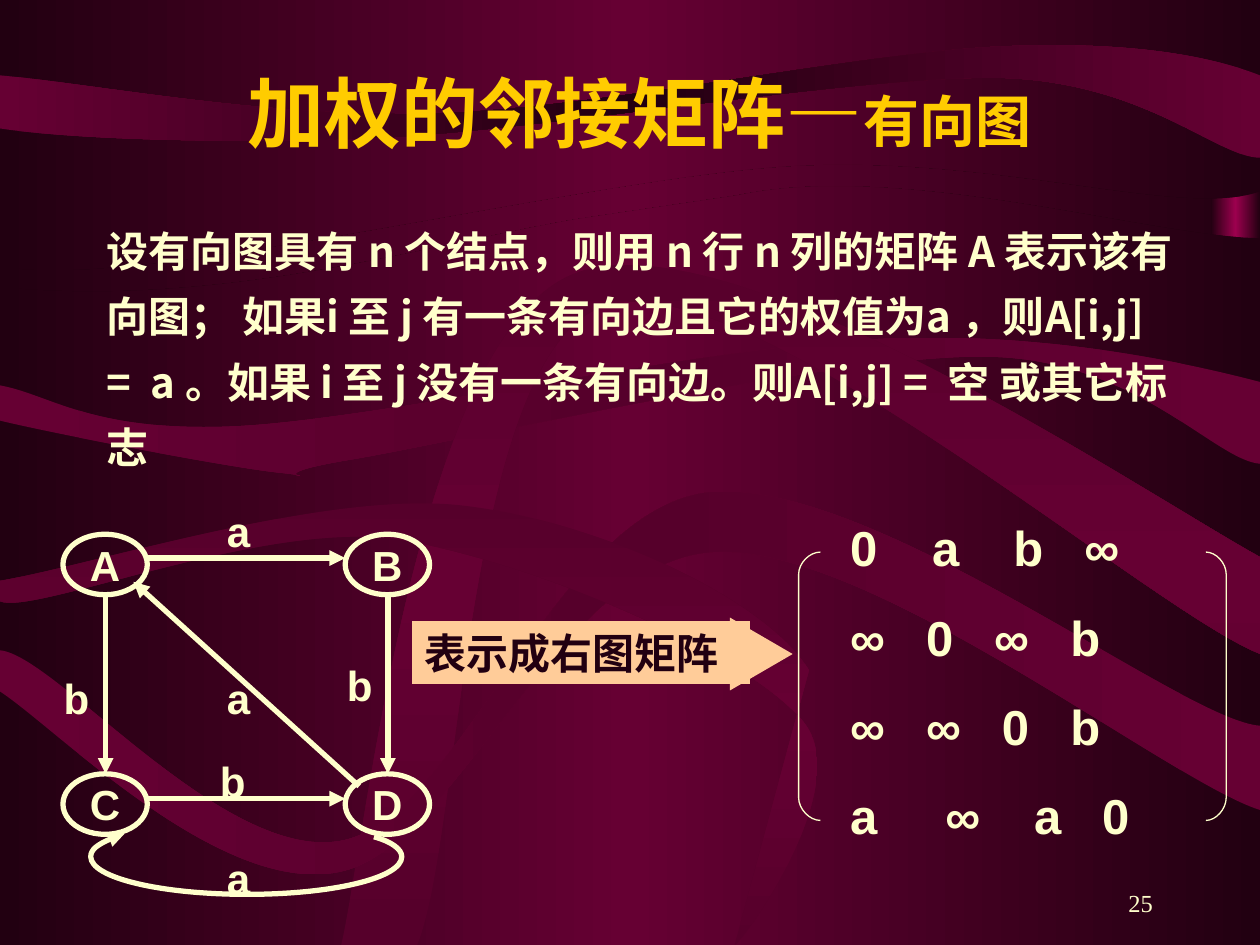
from copy import deepcopy
from dataclasses import dataclass

from lxml.etree import Element, SubElement
from pptx import Presentation
from pptx.dml.color import RGBColor
from pptx.enum.shapes import MSO_CONNECTOR, MSO_SHAPE
from pptx.enum.text import MSO_ANCHOR, MSO_AUTO_SIZE, PP_ALIGN
from pptx.oxml.ns import qn
from pptx.util import Cm, Pt

COLORS = {"night": "220011", "wine": "660033", "plum": "56002B", "rose": "9C004E",
          "cream": "FFFFCC", "gold": "FFCC00", "peach": "FFCC99"}
EAST_ASIAN = "Noto Sans CJK SC"
ARIAL = {"name": "Arial", "size": Pt(24), "bold": True}
MATRIX_FONT = {**ARIAL, "size": Pt(28)}
BODY_FONT = {**ARIAL, "name": EAST_ASIAN}
TITLE_FONT = {"name": "Times New Roman", "size": Pt(44), "bold": True}
SUBTITLE_FONT = {**TITLE_FONT, "size": Pt(32)}
NUMBER_FONT = {"name": "Times New Roman", "size": Pt(14), "bold": False}


@dataclass
class Ribbon:
    """A closed outline in cm: a pair is a line, six numbers are a Bézier curve."""
    start: tuple
    segments: list
    edge: str = "night"
    middle: str = "wine"
    angle: int = 0


@dataclass
class Label:
    text: str
    left: float
    top: float
    width: float


@dataclass
class MatrixRow:
    entries: str
    tabs: tuple


RIBBONS = [
    Ribbon((0, 0), [(25.4, 0), (25.4, 3.86), (23.83, 4.42, 20.12, 3.1, 15.88, 3.35),
                    (11.63, 3.61, 2.64, 5.92, 0, 5.36)]),
    Ribbon((0, 5.79), [(4.52, 6.22, 8.64, 4.93, 11.63, 4.42),
                       (11.63, 4.42, 14.4, 4.01, 14.88, 3.94),
                       (18.16, 3.23, 23.29, 4.8, 25.4, 4.8), (25.4, 19.05), (0, 19.05)]),
    Ribbon((0, 1.52), [(0, 2.59), (1.3, 2.79, 4.47, 2.92, 7.82, 2.77),
                       (11.18, 2.59, 17.25, 1.52, 20.17, 1.57),
                       (23.09, 1.65, 24.54, 3.18, 25.4, 3.18), (25.4, 1.52),
                       (24.51, 1.17, 22.89, 0.81, 20.12, 0.94),
                       (17.32, 1.07, 12.12, 2.18, 8.76, 2.29),
                       (5.41, 2.39, 1.83, 1.68, 0, 1.52)], "wine", "night"),
    Ribbon((0, 7.77), [(0, 8.48), (0.94, 8.71, 4.45, 9.4, 5.64, 9.53),
                       (6.83, 9.65, 4.83, 9.63, 7.16, 9.25),
                       (9.53, 8.84, 16.76, 7.16, 19.81, 7.19),
                       (22.86, 7.19, 24.46, 9.27, 25.4, 9.35), (25.4, 7.7),
                       (24.13, 7.37, 21.23, 6.68, 17.81, 6.83),
                       (14.38, 6.96, 7.8, 8.43, 4.83, 8.59),
                       (1.85, 8.74, 1.02, 7.95, 0, 7.77)], "wine", "plum"),
    Ribbon((6.88, 19.05), [(7.39, 16.79, 8.43, 6.83, 11.53, 5.54),
                           (14.61, 4.22, 23.09, 9.96, 25.4, 11.23), (25.4, 13.18),
                           (23.19, 12.32, 15.01, 5.21, 12.17, 6.17),
                           (9.35, 7.16, 9.3, 16.92, 8.41, 19.05)], "plum", "wine", 90),
    Ribbon((0, 13.11), [(0, 13.94), (1.14, 14.68, 4.42, 18.06, 6.83, 17.58),
                        (9.22, 17.12, 11.25, 11.33, 14.35, 11.13),
                        (17.45, 10.9, 23.55, 15.75, 25.4, 16.33), (25.4, 14.63),
                        (23.83, 14.53, 17.55, 9.58, 14.27, 9.93),
                        (11.2, 10.31, 9.32, 16.41, 6.93, 16.94),
                        (4.55, 17.45, 1.14, 13.21, 0, 13.11)], "wine", "plum"),
    Ribbon((0, 11.71), [(0, 12.12), (0.66, 12.42, 5.28, 10.49, 7.98, 10.87),
                        (10.67, 11.28, 15.04, 13.16, 16.18, 14.53),
                        (17.32, 15.88, 14.78, 19.23, 14.81, 19.05), (16.31, 13.51),
                        (15.39, 12.04, 12.01, 10.49, 9.3, 10.19),
                        (6.58, 9.88, 1.93, 11.38, 0, 11.71)], "plum", "wine", 90),
]
VERTICES = [Label("A", 1.27, 10.77, 1.7), Label("B", 6.96, 10.77, 1.7),
            Label("C", 1.27, 15.6, 1.7), Label("D", 6.96, 15.6, 1.7)]
EDGES = [(2.97, 11.25, 6.96, 11.25), (2.97, 16.1, 6.96, 16.1), (7.82, 11.99, 7.82, 15.6),
         (7.24, 15.85, 2.69, 11.73), (2.13, 11.99, 2.13, 15.6)]
WEIGHTS = [Label("a", 3.25, 10.06, 3.12), Label("a", 3.25, 17.07, 3.12),
           Label("a", 3.25, 13.44, 3.12), Label("b", 0.69, 13.44, 1.7),
           Label("b", 6.4, 13.18, 1.7), Label("b", 3.84, 15.11, 1.7)]
MATRIX = [MatrixRow("0\ta\tb\t∞", (1.65, 3.29, 4.72)), MatrixRow("∞\t0\t∞\tb", (1.53, 2.9, 4.44)),
          MatrixRow("∞\t∞\t0\tb", (1.53, 3.06, 4.44)), MatrixRow("a\t∞\ta\t0", (1.92, 3.71, 5.08))]


def rgb(color: str) -> RGBColor:
    return RGBColor.from_string(COLORS[color])


def place(shape, left: float, top: float, width: float, height: float) -> None:
    shape.left, shape.top, shape.width, shape.height = map(Cm, (left, top, width, height))


def write(paragraph, text: str, font_format: dict, color: str = "cream") -> None:
    run = paragraph.add_run()
    run.text = text
    for attribute, value in font_format.items():
        setattr(run.font, attribute, value)
    run.font.color.rgb = rgb(color)
    SubElement(run.font._element, qn("a:ea"), typeface=EAST_ASIAN)


def fill_axial(fill, owner, edge: str, middle: str, angle: int = 0) -> None:
    """Gradient running from the edge colour to the middle colour and back."""
    fill.gradient()
    fill.gradient_angle = angle
    for stop, color, position in zip(fill.gradient_stops, (edge, middle), (0, 0.5)):
        stop.color.rgb, stop.position = rgb(color), position
    stops = owner.find(".//" + qn("a:gsLst"))
    stops.append(deepcopy(stops[0]))
    stops[-1].set("pos", "100000")


def add_outline(slide, start: tuple, segments: list, closed: bool = False):
    """Freeform whose six-number segments become true Bézier curves."""
    points = [(Cm(x), Cm(y)) for segment in segments
              for x, y in zip(segment[::2], segment[1::2])]
    builder = slide.shapes.build_freeform(*map(Cm, start))
    builder.add_line_segments(points, close=closed)
    outline = builder.convert_to_shape()
    outline.shadow.inherit = False
    steps = iter(outline._element.findall(".//" + qn("a:lnTo")))
    for segment in segments:
        controls = [next(steps) for _ in segment[::2]]
        if len(controls) == 3:
            curve = Element(qn("a:cubicBezTo"))
            controls[0].addprevious(curve)
            for control in controls:
                curve.append(control[0])
                control.getparent().remove(control)
    return outline


def add_ribbon(slide, ribbon: Ribbon) -> None:
    band = add_outline(slide, ribbon.start, ribbon.segments, True)
    fill_axial(band.fill, band._element, ribbon.edge, ribbon.middle, ribbon.angle)
    band.line.fill.background()


def stroke(shape, width: float, arrow: bool = False) -> None:
    shape.line.color.rgb, shape.line.width = rgb("cream"), Pt(width)
    if arrow:
        SubElement(shape._element.spPr.find(qn("a:ln")), qn("a:tailEnd"), type="triangle")


def add_preset(slide, preset, *box: float, color: str = ""):
    shape = slide.shapes.add_shape(preset, *map(Cm, box))
    shape.shadow.inherit = False
    if color:
        shape.fill.solid()
        shape.fill.fore_color.rgb = rgb(color)
        shape.line.fill.background()
    else:
        shape.fill.background()
    return shape


def add_text(slide, *box: float):
    frame = slide.shapes.add_textbox(*map(Cm, box)).text_frame
    frame.word_wrap = True
    return frame


def add_vertex(slide, vertex: Label) -> None:
    oval = add_preset(slide, MSO_SHAPE.OVAL, vertex.left, vertex.top, vertex.width, 1.22)
    stroke(oval, 3)
    oval.text_frame.word_wrap = False
    oval.text_frame.vertical_anchor = MSO_ANCHOR.MIDDLE
    oval.text_frame.paragraphs[0].alignment = PP_ALIGN.CENTER
    write(oval.text_frame.paragraphs[0], vertex.text, ARIAL)


def add_edge(slide, ends: tuple) -> None:
    edge = slide.shapes.add_connector(MSO_CONNECTOR.STRAIGHT, *map(Cm, ends))
    stroke(edge, 3, arrow=True)
    SubElement(edge._element.spPr, qn("a:effectLst"))


def add_bracket(slide, tip: float, spine: float) -> None:
    middle = (tip + spine) / 2
    bracket = add_outline(slide, (tip, 11.13), [
        (middle, 11.13, spine, 11.35, spine, 11.58), (spine, 16.08),
        (spine, 16.31, middle, 16.54, tip, 16.54)])
    bracket.fill.background()
    stroke(bracket, 0.75)


def add_matrix(slide) -> None:
    frame = add_text(slide, 16.89, 10.31, 7.21, 6.86)
    for index, row in enumerate(MATRIX):
        paragraph = frame.add_paragraph() if index else frame.paragraphs[0]
        tabs = SubElement(paragraph._p.get_or_add_pPr(), qn("a:tabLst"))
        for position in row.tabs:
            SubElement(tabs, qn("a:tab"), pos=str(Cm(position)), algn="l")
        if index:
            paragraph.space_before = Pt(17.5)
        write(paragraph, row.entries, MATRIX_FONT)


def fill_placeholders(slide) -> None:
    title, body = slide.shapes.title, slide.placeholders[1]
    place(title, 3.3, 1.32, 19.18, 1.88)
    place(body, 1.9, 4.11, 22.17, 5.54)
    for holder in (title, body):
        holder.text_frame.auto_size = MSO_AUTO_SIZE.NONE
        slide.shapes._spTree.append(holder._element)
    title.text_frame.vertical_anchor = MSO_ANCHOR.MIDDLE
    heading, rule = title.text_frame.paragraphs[0], body.text_frame.paragraphs[0]
    heading.alignment = PP_ALIGN.CENTER
    write(heading, "加权的邻接矩阵—", TITLE_FONT, "gold")
    write(heading, "有向图", SUBTITLE_FONT, "gold")
    properties = rule._p.get_or_add_pPr()
    properties.set("marL", "0")
    properties.set("indent", "0")
    SubElement(properties, qn("a:buNone"))
    rule.line_spacing, rule.space_before = 1.3, Pt(0)
    write(rule, "设有向图具有 n 个结点，则用 n 行 n 列的矩阵 A 表示该有向图； 如果i 至 j "
                "有一条有向边且它的权值为a ，则A[i,j]  =  a 。如果 i 至 j 没有一条有向边。"
                "则A[i,j] =  空 或其它标志", BODY_FONT)


def main() -> None:
    deck = Presentation()
    deck.slide_width, deck.slide_height = Cm(25.4), Cm(19.05)
    slide = deck.slides.add_slide(deck.slide_layouts[1])
    fill_axial(slide.background.fill, slide._element, "night", "wine")
    glow = add_preset(slide, MSO_SHAPE.RECTANGLE, 24.41, 1.24, 0.99, 8.76, color="rose")
    fill_axial(glow.fill, glow._element, "night", "rose")
    for ribbon in RIBBONS:
        add_ribbon(slide, ribbon)

    page = add_text(slide, 18.21, 17.35, 5.28, 1.27)
    page.vertical_anchor = MSO_ANCHOR.BOTTOM
    page.paragraphs[0].alignment = PP_ALIGN.RIGHT
    write(page.paragraphs[0], "25", NUMBER_FONT)
    fill_placeholders(slide)

    arrow = add_preset(slide, MSO_SHAPE.RIGHT_ARROW, 10.9, 12.45, 5.08, 1.47, color="peach")
    arrow.adjustments[0], arrow.adjustments[1] = 0.5, 0.86
    caption = add_preset(slide, MSO_SHAPE.RECTANGLE, 8.31, 12.52, 6.81, 1.27, color="peach")
    caption.text_frame.vertical_anchor = MSO_ANCHOR.TOP
    caption.text_frame.paragraphs[0].alignment = PP_ALIGN.LEFT
    write(caption.text_frame.paragraphs[0], "表示成右图矩阵", ARIAL, "night")

    add_bracket(slide, 16.54, 16.1)
    add_bracket(slide, 24.31, 24.72)
    add_matrix(slide)
    for vertex in VERTICES:
        add_vertex(slide, vertex)
    for ends in EDGES:
        add_edge(slide, ends)
    loop = add_outline(slide, (7.54, 16.87), [
        (7.9, 16.97, 8.1, 17.12, 8.1, 17.27), (8.1, 17.7, 6.71, 18.03, 4.98, 18.03),
        (3.25, 18.03, 1.83, 17.7, 1.83, 17.27), (1.83, 17.12, 2.08, 16.94, 2.51, 16.81)])
    loop.fill.background()
    stroke(loop, 3, arrow=True)
    for weight in WEIGHTS:
        paragraph = add_text(slide, weight.left, weight.top, weight.width, 1.27).paragraphs[0]
        paragraph.alignment = PP_ALIGN.CENTER
        write(paragraph, weight.text, ARIAL)
    deck.save("out.pptx")


if __name__ == "__main__":
    main()
